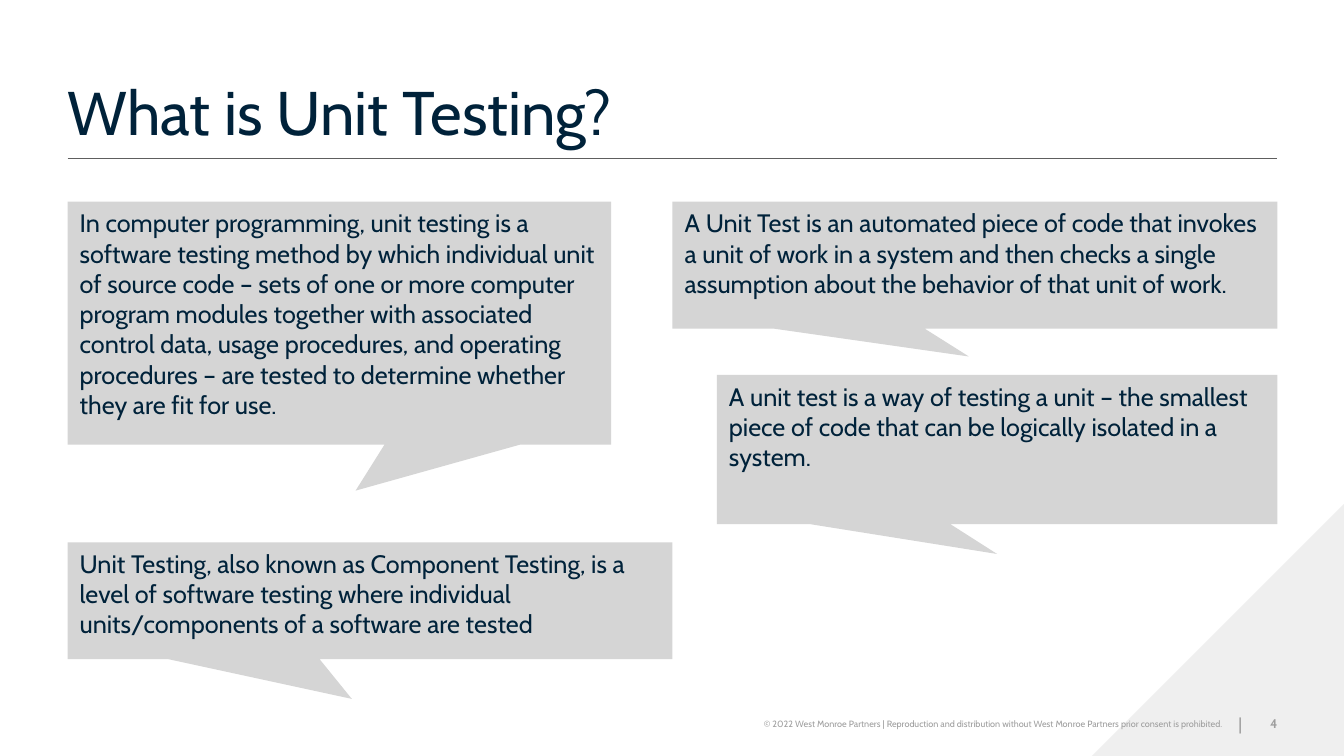
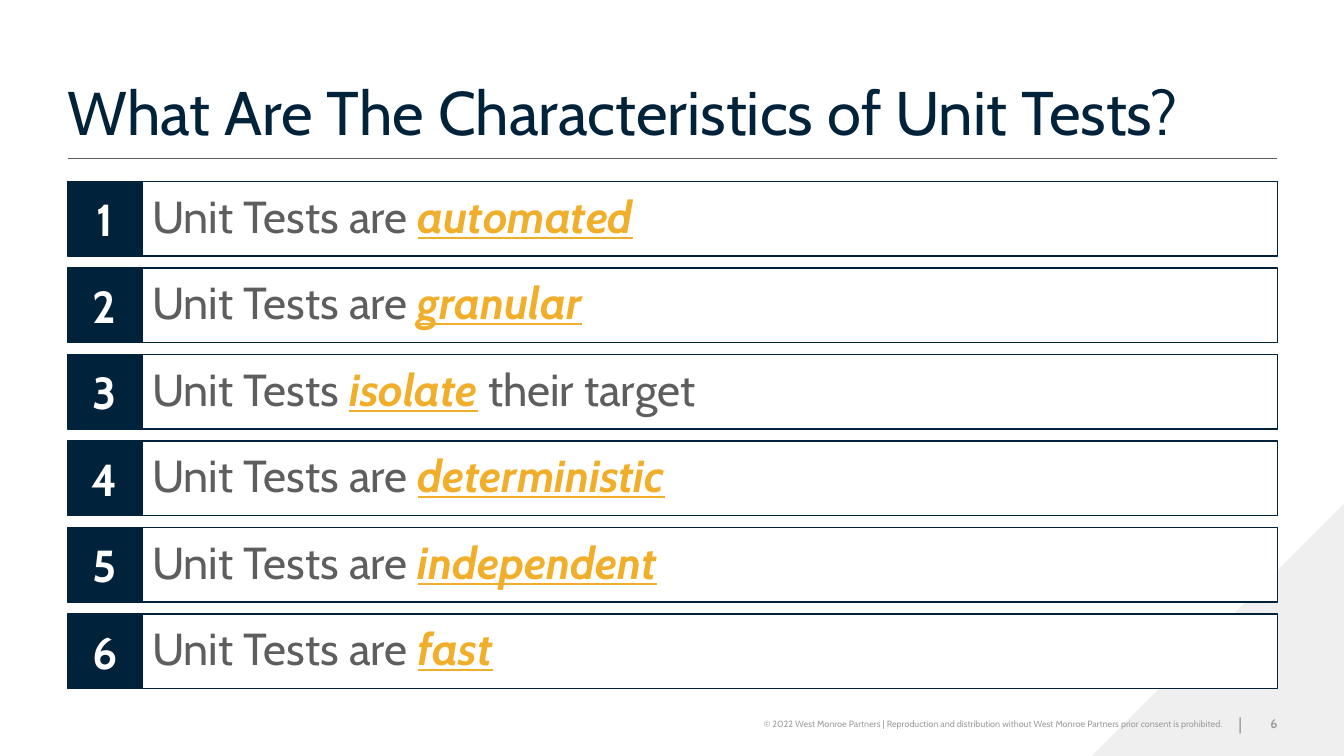
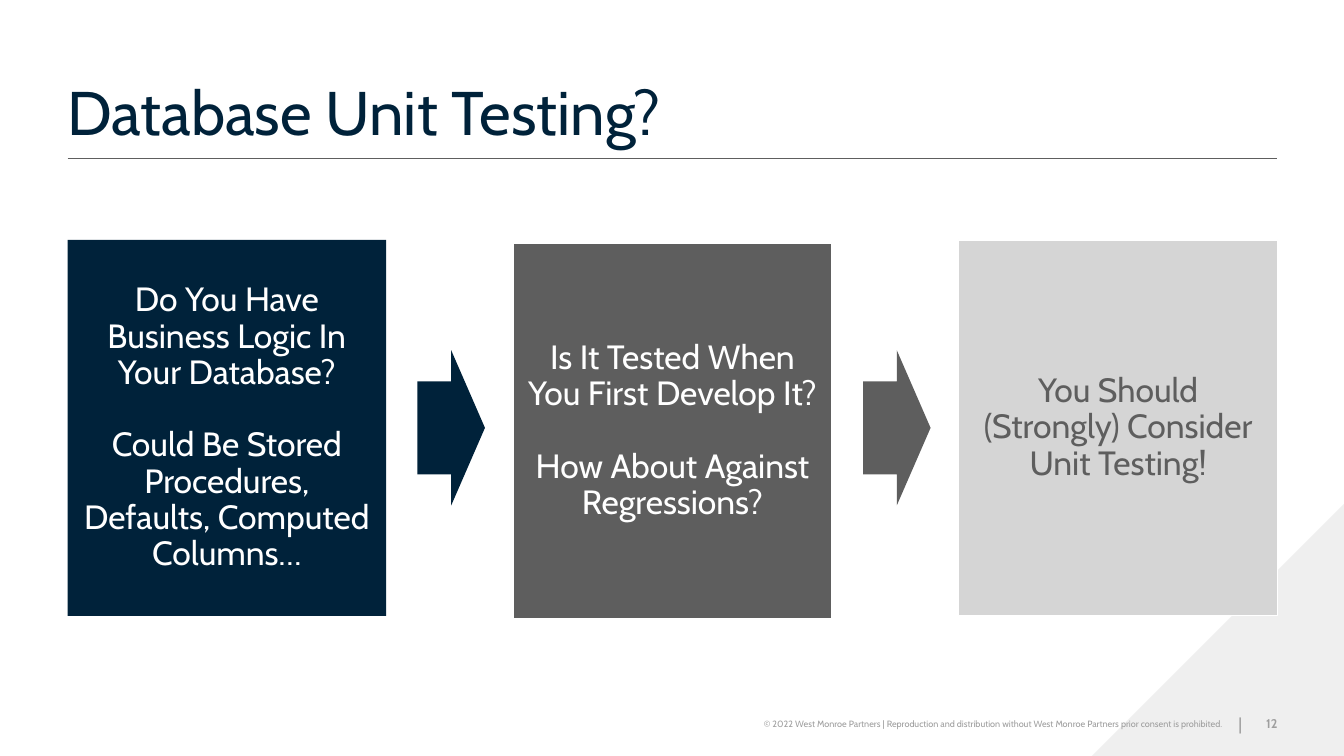
from typing import NamedTuple

from lxml.etree import SubElement
from pptx import Presentation
from pptx.dml.color import RGBColor
from pptx.enum.shapes import MSO_CONNECTOR, MSO_SHAPE
from pptx.enum.text import MSO_ANCHOR, PP_ALIGN
from pptx.oxml.ns import qn
from pptx.util import Inches, Pt

FONT = "Cabin"
NAVY = RGBColor(0x00, 0x22, 0x3A)
DARK_GRAY = RGBColor(0x5E, 0x5E, 0x5E)
FOOTER_GRAY = RGBColor(0x9E, 0x9E, 0x9E)
LIGHT_GRAY = RGBColor(0xD5, 0xD5, 0xD5)
PALE_GRAY = RGBColor(0xEF, 0xEF, 0xEF)
GOLD = RGBColor(0xF1, 0xAE, 0x2A)
WHITE = RGBColor(0xFF, 0xFF, 0xFF)

COPYRIGHT = ("© 2022 West Monroe Partners | Reproduction and distribution without "
             "West Monroe Partners prior consent is prohibited.")


class Box(NamedTuple):
    """A region on a grid of one-inch columns and rows."""
    left: float
    top: float
    width: float
    height: float

    def cell(self, column, row, columns, rows):
        return Box(self.left + column, self.top + row, columns, rows)

    def lengths(self):
        return [Inches(length) for length in self]


SLIDE = Box(0, 0, 13.33, 7.5)
TITLE = Box(0.67, 0.67, 12, 0.8)
CALLOUTS = Box(0.67, 2, 12, 4.8)
ROWS = Box(0.67, 1.8, 12, 5.03)
FLOW = Box(0.67, 2.38, 12, 3.73)
FOOTER = Box(7.05, 6.98, 5.62, 0.4)


# Text and shape helpers
def add_run(paragraph, text, size, color, bold=False, emphasis=False):
    run = paragraph.add_run()
    run.text = text
    font = run.font
    font.name, font.size, font.bold = FONT, Pt(size), bold or emphasis
    font.color.rgb = color
    if emphasis:
        font.italic = font.underline = True


def set_frame(shape, anchor=MSO_ANCHOR.MIDDLE, inset_x=0, inset_y=0, align=PP_ALIGN.LEFT):
    """Formats the text frame and returns its first paragraph."""
    frame = shape.text_frame
    frame.word_wrap = True
    frame.vertical_anchor = anchor
    frame.margin_left = frame.margin_right = Inches(inset_x)
    frame.margin_top = frame.margin_bottom = Inches(inset_y)
    frame.paragraphs[0].alignment = align
    return frame.paragraphs[0]


def add_block(slide, preset, box, fill, line=None):
    shape = slide.shapes.add_shape(preset, *box.lengths())
    shape.shadow.inherit = False
    shape.fill.solid()
    shape.fill.fore_color.rgb = fill
    if line is None:
        shape.line.fill.background()
    else:
        shape.line.color.rgb = line
        shape.line.width = Pt(1)
    return shape


# Elements shared by all slides
def add_title_rule(slide, box):
    left, top, width, height = box
    y = Inches(top + height + 0.1)
    rule = slide.shapes.add_connector(
        MSO_CONNECTOR.STRAIGHT, Inches(left), y, Inches(left + width), y)
    rule.line.color.rgb = DARK_GRAY
    rule.line.width = Pt(0.3)
    SubElement(rule._element.spPr, qn("a:effectLst"))


def add_footer(slide, box, number):
    entries = [
        (box.cell(5.14, 0, 0.22, box.height), "|", 12, False, PP_ALIGN.CENTER),
        (box.cell(0, 0, 5.08, box.height), COPYRIGHT, 6.5, False, PP_ALIGN.RIGHT),
        (box.cell(5.14, 0, 0.48, box.height), str(number), 9, True, PP_ALIGN.RIGHT),
    ]
    for area, text, size, bold, align in entries:
        text_box = slide.shapes.add_textbox(*area.lengths())
        add_run(set_frame(text_box, align=align), text, size, FOOTER_GRAY, bold)


def add_slide(presentation, title, number):
    slide = presentation.slides.add_slide(presentation.slide_layouts[5])
    corner = SLIDE.cell(SLIDE.width - 2.5, SLIDE.height - 2.5, 2.5, 2.5)
    triangle = add_block(slide, MSO_SHAPE.RIGHT_TRIANGLE, corner, PALE_GRAY)
    triangle.rotation = 270
    add_title_rule(slide, TITLE)
    placeholder = slide.shapes.title
    placeholder.left, placeholder.top, placeholder.width, placeholder.height = TITLE.lengths()
    add_run(set_frame(placeholder, MSO_ANCHOR.BOTTOM), title, 44, NAVY)
    add_footer(slide, FOOTER, number)
    return slide


# Speech callouts
def add_callouts(slide, box, callouts):
    for cell, tail, text in callouts:
        callout = add_block(slide, MSO_SHAPE.RECTANGULAR_CALLOUT, box.cell(*cell), LIGHT_GRAY)
        callout.adjustments[0], callout.adjustments[1] = tail
        add_run(set_frame(callout, MSO_ANCHOR.TOP, 0.12, 0.06), text, 18, NAVY)


# Numbered rows
def add_numbered_rows(slide, box, rows):
    side = 0.74
    step = (box.height - side) / (len(rows) - 1)
    for index, (before, key_word, after) in enumerate(rows):
        top = index * step
        bar = add_block(slide, MSO_SHAPE.RECTANGLE,
                        box.cell(side, top, box.width - side, side), WHITE, NAVY)
        paragraph = set_frame(bar, inset_x=0.1, inset_y=0.12)
        paragraph.line_spacing = 0.9
        add_run(paragraph, before, 32, DARK_GRAY)
        add_run(paragraph, key_word, 32, GOLD, emphasis=True)
        if after:
            add_run(paragraph, after, 32, DARK_GRAY)
        badge = add_block(slide, MSO_SHAPE.RECTANGLE, box.cell(0, top, side, side), NAVY, NAVY)
        paragraph = set_frame(badge, inset_x=0.1, inset_y=0.12, align=PP_ALIGN.CENTER)
        add_run(paragraph, str(index + 1), 32, WHITE, bold=True)


# Steps joined by block arrows
def add_flow(slide, box, steps):
    step_width, arrow_width, arrow_height = 3.16, 0.67, 1.54
    pitch = (box.width - step_width) / (len(steps) - 1)
    for index, (texts, fill, line, color, drop) in enumerate(steps):
        left = index * pitch
        step = add_block(slide, MSO_SHAPE.RECTANGLE,
                         box.cell(left, drop, step_width, box.height), fill, line)
        paragraph = set_frame(step, inset_x=0.12, inset_y=0.12)
        for position, text in enumerate(texts):
            if position:
                paragraph = step.text_frame.add_paragraph()
                paragraph.space_before = Pt(26)
            paragraph.alignment = PP_ALIGN.CENTER
            paragraph.line_spacing = 0.9
            add_run(paragraph, text, 24, color)
        if index < len(steps) - 1:
            arrow_box = box.cell(left + step_width + 0.31, (box.height - arrow_height) / 2,
                                 arrow_width, arrow_height)
            arrow = add_block(slide, MSO_SHAPE.RIGHT_ARROW, arrow_box, fill)
            arrow.adjustments[0], arrow.adjustments[1] = 0.6, 0.5


def main():
    presentation = Presentation()
    presentation.slide_width = Inches(SLIDE.width)
    presentation.slide_height = Inches(SLIDE.height)

    slide = add_slide(presentation, "What is Unit Testing?", 4)
    add_callouts(slide, CALLOUTS, [
        ((0, 0, 5.39, 2.41), (0.03, 0.69),
         "In computer programming, unit testing is a software testing method by which "
         "individual unit of source code – sets of one or more computer program modules "
         "together with associated control data, usage procedures, and operating procedures "
         "– are tested to determine whether they are fit for use."),
        ((6.44, 1.72, 5.56, 1.48), (0, 0.7),
         "A unit test is a way of testing a unit – the smallest piece of code that can be "
         "logically isolated in a system."),
        ((6, 0, 6, 1.26), (-0.01, 0.72),
         "A Unit Test is an automated piece of code that invokes a unit of work in a system "
         "and then checks a single assumption about the behavior of that unit of work."),
        ((0, 3.38, 6, 1.16), (-0.03, 0.84),
         "Unit Testing, also known as Component Testing, is a level of software testing "
         "where individual units/components of a software are tested"),
    ])

    slide = add_slide(presentation, "What Are The Characteristics of Unit Tests?", 6)
    add_numbered_rows(slide, ROWS, [
        ("Unit Tests are ", "automated", ""),
        ("Unit Tests are ", "granular", ""),
        ("Unit Tests ", "isolate", " their target"),
        ("Unit Tests are ", "deterministic", ""),
        ("Unit Tests are ", "independent", ""),
        ("Unit Tests are ", "fast", ""),
    ])

    slide = add_slide(presentation, "Database Unit Testing?", 12)
    add_flow(slide, FLOW, [
        (["Do You Have Business Logic In Your Database?",
          "Could Be Stored Procedures, Defaults, Computed Columns…"], NAVY, None, WHITE, 0),
        (["Is It Tested When You First Develop It?",
          "How About Against Regressions?"], DARK_GRAY, WHITE, WHITE, 0.03),
        (["You Should (Strongly) Consider Unit Testing!"], LIGHT_GRAY, WHITE, DARK_GRAY, 0),
    ])

    presentation.save("out.pptx")


if __name__ == "__main__":
    main()
